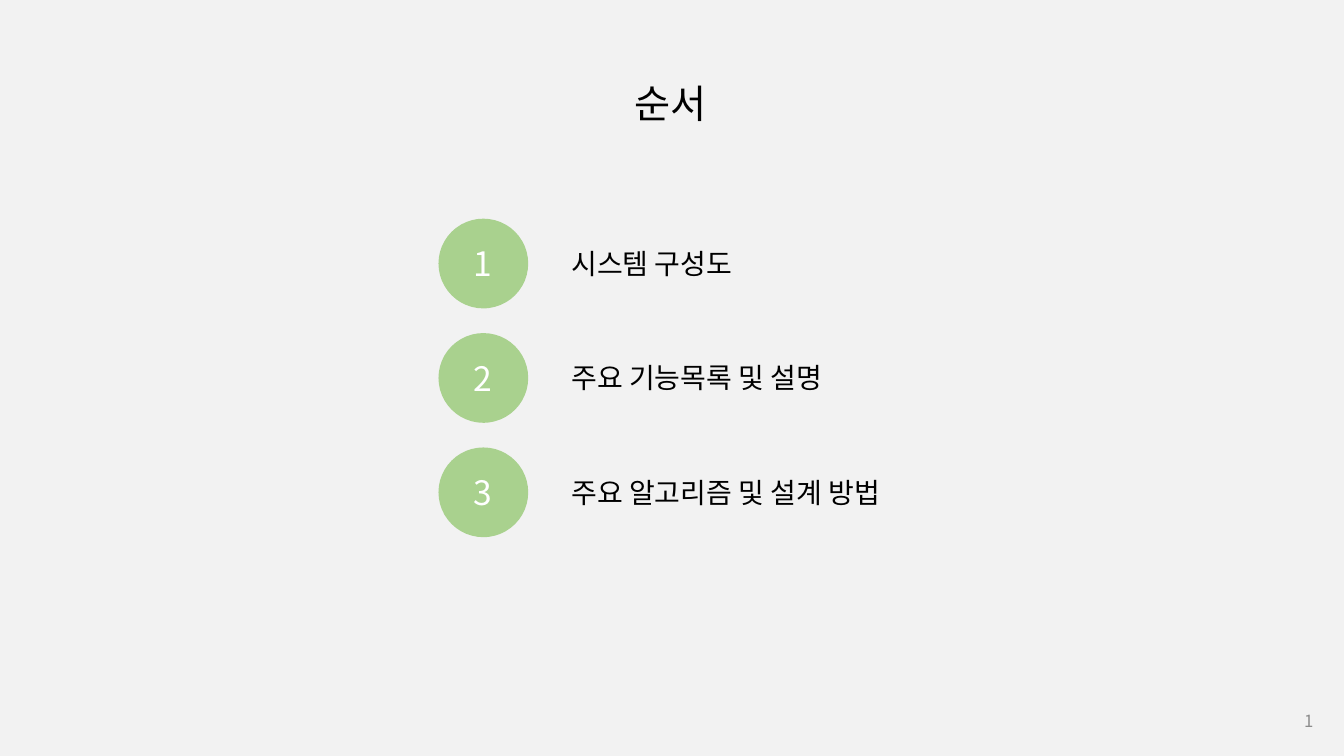
from pptx import Presentation
from pptx.dml.color import RGBColor as RGB
from pptx.enum.shapes import MSO_SHAPE as Form
from pptx.enum.text import MSO_ANCHOR as Anchor, MSO_AUTO_SIZE as Fit, PP_ALIGN as Align
from pptx.oxml.ns import qn
from pptx.util import Pt
from lxml.etree import SubElement

# Content
title = "순서"
topics = [  # text, width of its box
    ("시스템 구성도", 133.9),
    ("주요 기능목록 및 설명", 202.3),
    ("주요 알고리즘 및 설계 방법", 245.5),
]
page = "1"

theme = {
    "font": "Noto Sans CJK KR",
    "back": RGB(0xF2, 0xF2, 0xF2), "ink": RGB(0, 0, 0),
    "green": RGB(0xA9, 0xD1, 0x8E), "white": RGB(0xFF, 0xFF, 0xFF),
    "gray": RGB(0x8C, 0x8C, 0x8C),
    "head": 28, "digit": 24, "label": 20, "small": 12,
}

# Layout, in points
disc = 64.1
left, top, step = 313.2, 156.2, 81.7
label_x, label_h = 401, 31.5


def write(shape, text, size="label", color="ink", align=Align.LEFT,
          anchor=Anchor.TOP, wrap=False):
    frame = shape.text_frame
    frame.word_wrap = wrap
    frame.auto_size = Fit.NONE if wrap else Fit.SHAPE_TO_FIT_TEXT
    frame.vertical_anchor = anchor
    para = frame.paragraphs[0]
    para.alignment = align
    run = para.add_run()
    run.text = text
    font = run.font
    font.size = Pt(theme[size])
    font.color.rgb = theme[color]
    font.name = theme["font"]
    # Korean letters take the East Asian typeface
    SubElement(run._r.get_or_add_rPr(), qn("a:ea"), typeface=theme["font"])


def area(x, y, w, h):
    return Pt(x), Pt(y), Pt(w), Pt(h)


deck = Presentation()
deck.slide_width, deck.slide_height = Pt(960), Pt(540)
slide = deck.slides.add_slide(deck.slide_layouts[6])
fill = slide.background.fill
fill.solid()
fill.fore_color.rgb = theme["back"]

# Title
write(slide.shapes.add_textbox(*area(446.4, 53.3, 67.7, 41.2)), title, size="head")

# Numbered topics
group = slide.shapes.add_group_shape().shapes
for i, (text, width) in enumerate(topics):
    y = top + i * step
    dot = group.add_shape(Form.OVAL, *area(left, y, disc, disc))
    dot.shadow.inherit = False
    dot.fill.solid()
    dot.fill.fore_color.rgb = theme["green"]
    dot.line.fill.background()
    write(dot, str(i + 1), size="digit", color="white", align=Align.CENTER,
          anchor=Anchor.MIDDLE, wrap=True)
    label_y = y + (disc - label_h) / 2
    write(group.add_textbox(*area(label_x, label_y, width, label_h)), text)

# Page number
write(slide.shapes.add_textbox(*area(911.5, 500.4, 33.8, 28.8)), page, size="small",
      color="gray", align=Align.RIGHT, anchor=Anchor.MIDDLE, wrap=True)

deck.save("out.pptx")
